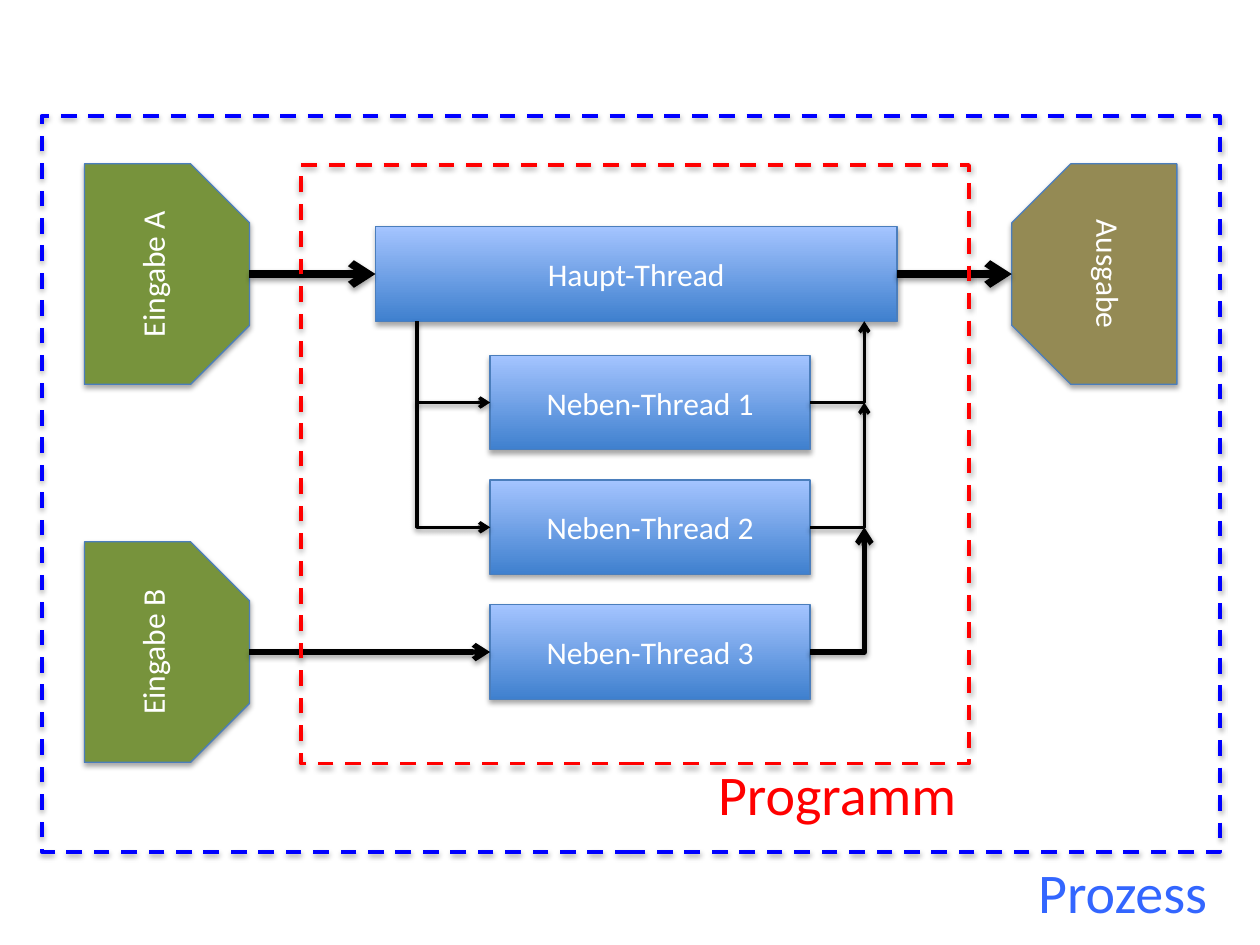
from lxml import etree
from pptx import Presentation
from pptx.dml.color import RGBColor
from pptx.enum.dml import MSO_LINE
from pptx.enum.shapes import MSO_CONNECTOR, MSO_SHAPE
from pptx.enum.text import MSO_ANCHOR, PP_ALIGN
from pptx.oxml.ns import qn
from pptx.util import Inches, Pt

RECT, SNIP = MSO_SHAPE.RECTANGLE, MSO_SHAPE.SNIP_2_SAME_RECTANGLE
STRAIGHT, ELBOW = MSO_CONNECTOR.STRAIGHT, MSO_CONNECTOR.ELBOW
CENTER, RIGHT = PP_ALIGN.CENTER, PP_ALIGN.RIGHT
MIDDLE, TOP = MSO_ANCHOR.MIDDLE, MSO_ANCHOR.TOP
DASH = MSO_LINE.DASH

BLACK = RGBColor(0, 0, 0)
WHITE = RGBColor(0xFF, 0xFF, 0xFF)
RED = RGBColor(0xFF, 0, 0)
BLUE = RGBColor(0, 0, 0xFF)
LABEL_BLUE = RGBColor(0x33, 0x66, 0xFF)
OUTLINE = RGBColor(0x4B, 0x7E, 0xBC)
THREAD_DARK = RGBColor(0x3F, 0x80, 0xCE)
THREAD_LIGHT = RGBColor(0xA4, 0xC4, 0xFF)
GREEN = RGBColor(0x77, 0x93, 0x3C)
OLIVE = RGBColor(0x94, 0x8A, 0x54)

SLIDE_W, SLIDE_H = 10, 7.5
PROCESS = (0.33, 0.92, 9.35, 5.84)
PROGRAM = (2.39, 1.31, 5.3, 4.75)
THREAD_H, THREAD_STEP = 0.75, 0.99
PORT_W, PORT_H = 1.31, 1.75


def add_shadow(shape, alpha, distance):
    """Give a shape or connector a soft shadow that falls straight down."""
    sp_pr = shape._element.spPr
    effects = sp_pr.find(qn("a:effectLst"))
    if effects is None:
        effects = etree.SubElement(sp_pr, qn("a:effectLst"))
    shadow = etree.SubElement(effects, qn("a:outerShdw"), blurRad="40000",
                              dist=str(distance), dir="5400000", rotWithShape="0")
    color = etree.SubElement(shadow, qn("a:srgbClr"), val="000000")
    etree.SubElement(color, qn("a:alpha"), val=str(alpha * 1000))


def write(shape, text, size, color, align, anchor):
    """Write one formatted line of text into a shape."""
    tf = shape.text_frame
    tf.word_wrap = True
    tf.vertical_anchor = anchor
    p = tf.paragraphs[0]
    p.alignment = align
    r = p.add_run()
    r.text = text
    for name, value in {"name": "Calibri", "size": Pt(size)}.items():
        setattr(r.font, name, value)
    r.font.color.rgb = color


def add_block(slide, kind, box, line_color=OUTLINE, line_width=0.75):
    """Add an outlined preset shape with a shadow."""
    s = slide.shapes.add_shape(kind, *map(Inches, box))
    s.shadow.inherit = False
    s.line.color.rgb = line_color
    s.line.width = Pt(line_width)
    add_shadow(s, 35, 23000)
    return s


def add_thread(slide, box, text):
    """Add a thread box with a vertical gradient."""
    s = add_block(slide, RECT, box)
    s.fill.gradient()
    s.fill.gradient_angle = 90
    for stop, color in zip(s.fill.gradient_stops, (THREAD_DARK, THREAD_LIGHT)):
        stop.color.rgb = color
    write(s, text, 18, WHITE, CENTER, MIDDLE)


def add_port(slide, left, top, rotation, color, text):
    """Add an input or output port, turned inside its upright box."""
    shift = (PORT_H - PORT_W) / 2
    s = add_block(slide, SNIP, (left - shift, top + shift, PORT_H, PORT_W))
    s.rotation = rotation
    s.adjustments[0], s.adjustments[1] = 0, 0.357
    s.fill.solid()
    s.fill.fore_color.rgb = color
    write(s, text, 18, WHITE, CENTER, MIDDLE)


def add_frame(slide, box, color, label, label_color, label_width, label_gap):
    """Add a dashed frame with its name below the right corner."""
    s = add_block(slide, RECT, box, color, 2.25)
    s.fill.background()
    s.line.dash_style = DASH
    left, top, width, height = box
    label_box = (left + width - label_width, top + height + label_gap, label_width, 0.64)
    tb = slide.shapes.add_textbox(*map(Inches, label_box))
    write(tb, label, 32, label_color, RIGHT, TOP)


def add_arrow(slide, start, end, width, kind=STRAIGHT, down_first=False):
    """Add an arrow; an elbow has one corner and runs sideways or down first."""
    (x1, y1), (x2, y2) = start, end
    if down_first:
        cx, cy, dx, dy = (x1 + x2) / 2, (y1 + y2) / 2, x2 - x1, y2 - y1
        x1, y1, x2, y2 = cx + dy / 2, cy - dx / 2, cx - dy / 2, cy + dx / 2
    c = slide.shapes.add_connector(kind, *map(Inches, (x1, y1, x2, y2)))
    sp_pr = c._element.spPr
    if kind == ELBOW:
        sp_pr.find(qn("a:prstGeom")).set("prst", "bentConnector2")
    if down_first:
        sp_pr.find(qn("a:xfrm")).set("rot", str(270 * 60000))
    c.line.color.rgb = BLACK
    c.line.width = Pt(width)
    etree.SubElement(sp_pr.find(qn("a:ln")), qn("a:tailEnd"), type="arrow")
    add_shadow(c, 38, 20000)


def add_threads(slide, box):
    """Add the main thread, its side threads and the arrows between them."""
    left, top, width, _ = box
    main_left, main_top, main_w = left + 0.59, top + 0.49, 4.14
    side_left, side_top, side_w = left + 1.5, top + 1.51, 2.54
    side_right = side_left + side_w
    fork, join = main_left + 0.33, side_right + 0.43
    main_bottom, main_mid = main_top + THREAD_H, main_top + THREAD_H / 2

    add_thread(slide, (main_left, main_top, main_w, THREAD_H), "Haupt-Thread")
    previous = main_bottom
    for i in range(3):
        y = side_top + i * THREAD_STEP
        mid = y + THREAD_H / 2
        add_thread(slide, (side_left, y, side_w, THREAD_H), f"Neben-Thread {i + 1}")
        weight = 3 if i == 2 else 2
        add_arrow(slide, (side_right, mid), (join, previous), weight, ELBOW)
        if i < 2:
            add_arrow(slide, (fork, previous), (side_left, mid), weight, ELBOW, True)
        previous = mid
    return ((main_left, main_mid), (main_left + main_w, main_mid), (side_left, previous))


def add_process(slide, box):
    """Add the process with its ports, program and data flow."""
    left, top, width, height = box
    in_x, out_x = left + 0.34, left + width - 0.34 - PORT_W
    main_in, main_out, side_in = add_threads(slide, PROGRAM)
    for text, (x, y), weight in (("Eingabe A", main_in, 4.5), ("Eingabe B", side_in, 3)):
        add_port(slide, in_x, y - PORT_H / 2, 270, GREEN, text)
        add_arrow(slide, (in_x + PORT_W, y), (x, y), weight)
    add_port(slide, out_x, main_out[1] - PORT_H / 2, 90, OLIVE, "Ausgabe")
    add_arrow(slide, main_out, (out_x, main_out[1]), 4.5)
    add_frame(slide, PROGRAM, RED, "Programm", RED, 2.16, -0.08)
    add_frame(slide, box, BLUE, "Prozess", LABEL_BLUE, 1.93, 0)


prs = Presentation()
prs.slide_width, prs.slide_height = Inches(SLIDE_W), Inches(SLIDE_H)
process_slide = prs.slides.add_slide(prs.slide_layouts[6])
add_process(process_slide, PROCESS)
prs.save("out.pptx")
